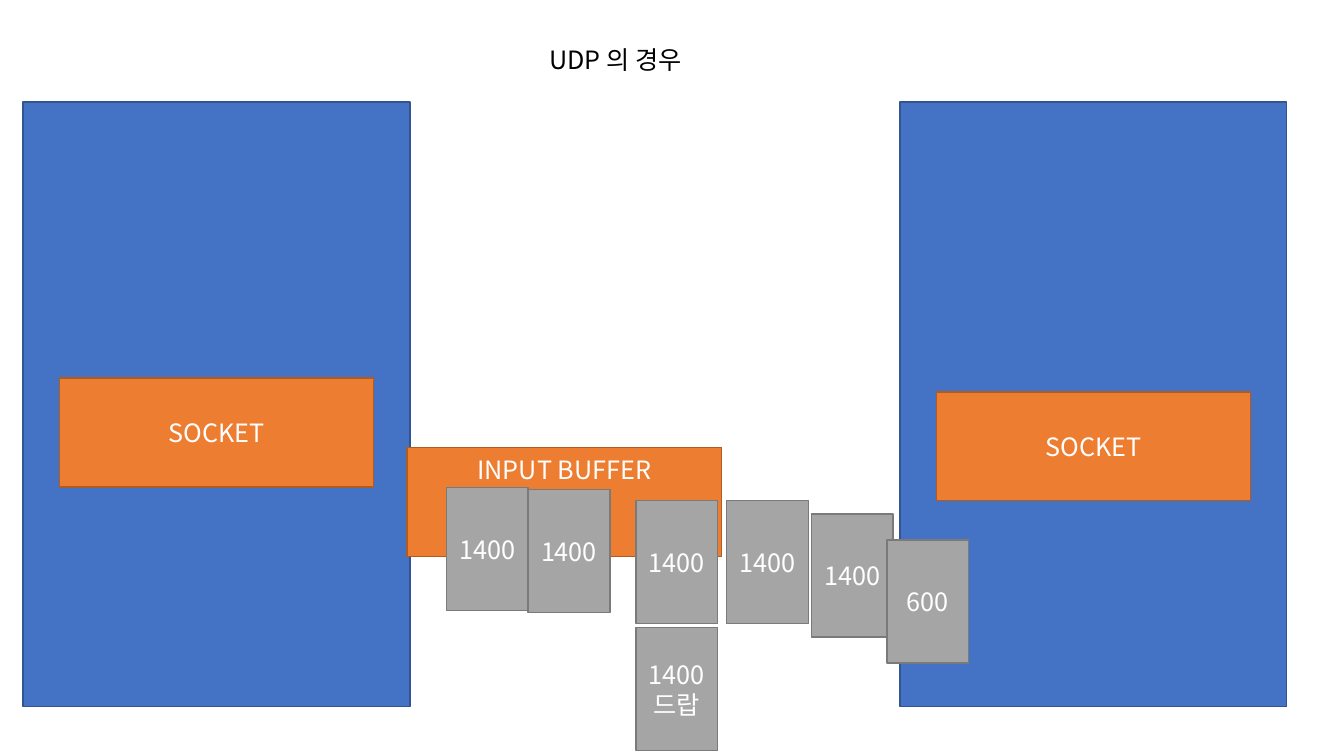
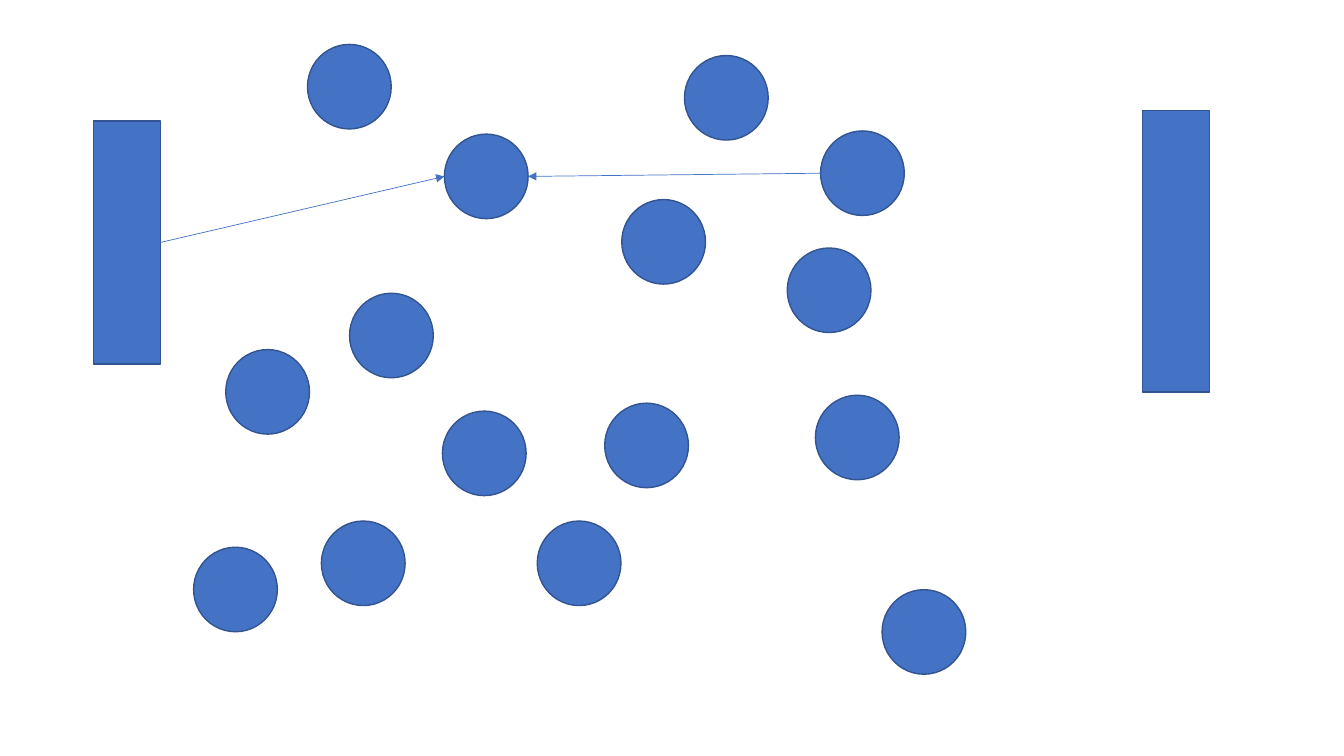
from pptx import Presentation, util as u
from pptx.dml.color import RGBColor
from pptx.enum import shapes, text
from pptx.oxml.ns import qn
from lxml import etree

FONT = "Noto Sans CJK KR"
HEX = {"blue": "4472C4", "navy": "325491", "orange": "ED7D31", "rust": "AF5C24",
       "gray": "A5A5A5", "slate": "7A7A7A", "white": "FFFFFF", "black": "000000"}
EDGE = {"blue": "navy", "orange": "rust", "gray": "slate"}
RECT, OVAL = shapes.MSO_SHAPE.RECTANGLE, shapes.MSO_SHAPE.OVAL
MID, TOP = text.MSO_ANCHOR.MIDDLE, text.MSO_ANCHOR.TOP

TITLE = "UDP 의 경우"
HOSTS = [(0.58, 9.53), (22.68, 9.88)]
HOST_TOP, INDENT = 2.57, 0.92
HOST, SOCKET, PACKET = (9.75, 15.24), (7.92, 2.74), (2.06, 3.1)
BUFFER = (10.26, 11.28)
PACKETS = [("1400", 11.25, 12.29), ("1400", 13.31, 12.34), ("1400\n드랍", 16.03, 15.82),
           ("1400", 16.03, 12.62), ("1400", 18.31, 12.62), ("1400", 20.45, 12.95),
           ("600", 22.35, 13.61)]

BALL = (2.11, 2.13)
BALLS = [(7.75, 1.12), (15.67, 5.03), (8.81, 7.39), (17.25, 1.4), (11.15, 10.36),
         (4.88, 13.79), (15.24, 10.16), (19.84, 6.25), (5.69, 8.81), (20.55, 9.96),
         (22.23, 14.86), (8.1, 13.13), (13.54, 13.13)]
TARGET, SENDER = (11.2, 3.38), (20.68, 3.3)
BAR = 1.68
BARS = [(2.36, 3.05, 6.12), (28.8, 2.79, 7.09)]


def rgb(name):
    return RGBColor.from_string(HEX[name])


def put(item, values):
    for name, value in values.items():
        setattr(item, name, value)


def write(frame, words, color, align, **form):
    frame.text = words
    put(frame, form)
    for para in frame.paragraphs:
        para.alignment = align
        for run in para.runs:
            put(run.font, {"size": u.Pt(18), "name": FONT, "bold": False})
            run.font.color.rgb = rgb(color)
            east = etree.SubElement(run.font._element, qn("a:ea"))
            east.set("typeface", FONT)


def block(slide, kind, spot, size, color, words="", **form):
    shape = slide.shapes.add_shape(kind, *map(u.Cm, (*spot, *size)))
    shape.shadow.inherit = False
    shape.fill.solid()
    shape.fill.fore_color.rgb = rgb(color)
    shape.line.color.rgb = rgb(EDGE[color])
    shape.line.width = u.Pt(1)
    if words:
        look = {"vertical_anchor": MID, "word_wrap": True, **form}
        write(shape.text_frame, words, "white", text.PP_ALIGN.CENTER, **look)
    return shape


def side(shape, part):
    return shape.left + int(shape.width * part), shape.top + shape.height // 2


def arrow(slide, start, end):
    link = slide.shapes.add_connector(shapes.MSO_CONNECTOR.STRAIGHT, *start, *end)
    link.line.color.rgb = rgb("blue")
    link.line.width = u.Pt(0.5)
    tip = etree.SubElement(link.line._get_or_add_ln(), qn("a:tailEnd"))
    tip.set("type", "triangle")
    etree.SubElement(link._element.spPr, qn("a:effectLst"))


def udp(deck):
    slide = deck.slides.add_slide(deck.slide_layouts[5])
    head = slide.shapes.title
    put(head, {"left": u.Cm(13.59), "top": u.Cm(0.99),
               "width": u.Cm(4.17), "height": u.Cm(1.02)})
    write(head.text_frame, TITLE, "black", text.PP_ALIGN.LEFT, word_wrap=False,
          vertical_anchor=TOP, auto_size=text.MSO_AUTO_SIZE.SHAPE_TO_FIT_TEXT)
    for left, _ in HOSTS:
        block(slide, RECT, (left, HOST_TOP), HOST, "blue")
    for left, top in HOSTS:
        block(slide, RECT, (left + INDENT, top), SOCKET, "orange", "SOCKET")
    block(slide, RECT, BUFFER, SOCKET, "orange", "INPUT BUFFER",
          vertical_anchor=TOP, margin_top=u.Cm(0.18))
    for words, *spot in PACKETS:
        block(slide, RECT, spot, PACKET, "gray", words)


def balls(deck):
    slide = deck.slides.add_slide(deck.slide_layouts[6])
    for spot in BALLS:
        block(slide, OVAL, spot, BALL, "blue")
    bars = [block(slide, RECT, (left, top), (BAR, tall), "blue") for left, top, tall in BARS]
    target, sender = [block(slide, OVAL, spot, BALL, "blue") for spot in (TARGET, SENDER)]
    arrow(slide, side(bars[0], 1), side(target, 0))
    arrow(slide, side(sender, 0), side(target, 1))


deck = Presentation()
put(deck, {"slide_width": u.Cm(33.87), "slide_height": u.Cm(19.05)})
udp(deck)
balls(deck)
deck.save("out.pptx")
